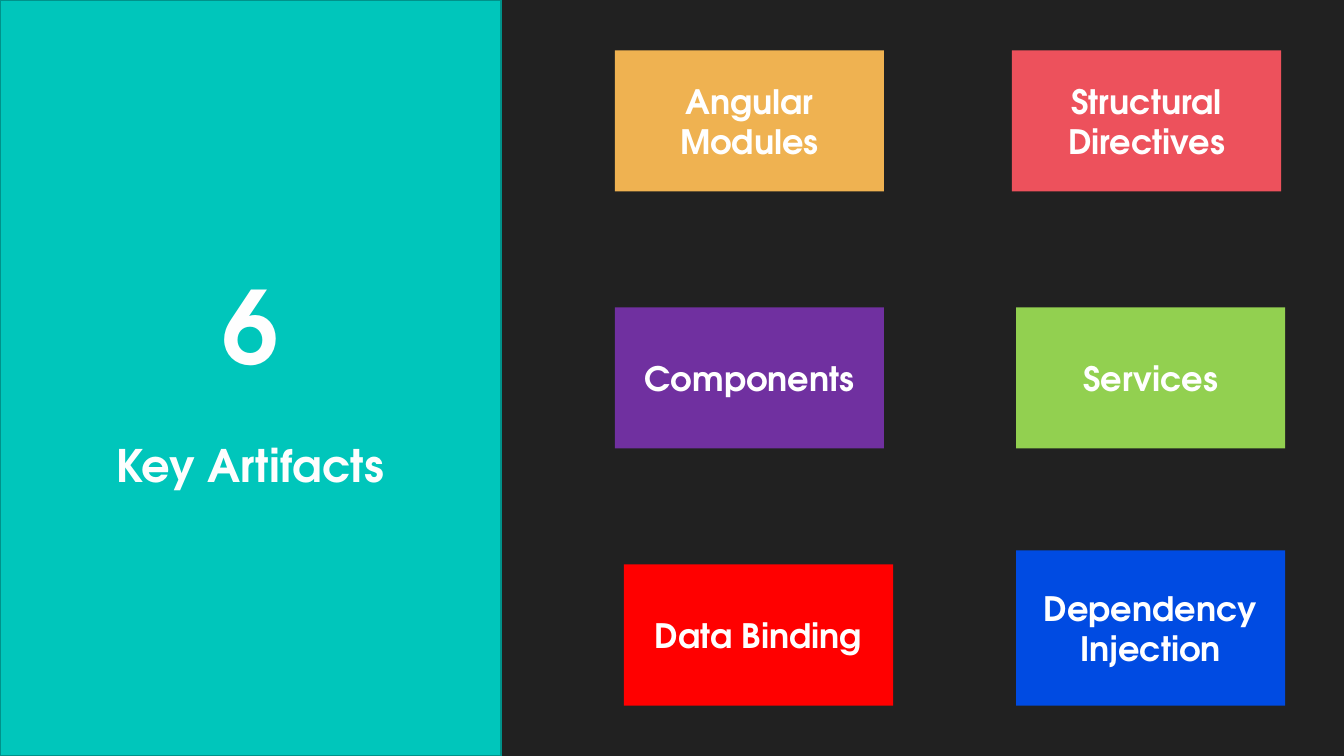
from dataclasses import dataclass

from pptx import Presentation
from pptx.dml.color import RGBColor
from pptx.enum import shapes, text
from pptx.util import Pt


@dataclass(frozen=True)
class Theme:
    """Colours, font and type sizes of the slide."""
    font: str = "TeX Gyre Adventor"
    ground: str = "212121"
    panel: str = "00C6BB"
    panel_edge: str = "00928A"
    panel_text: str = "FEFEFE"
    tile_text: str = "FFFFFF"
    amber: str = "EFB251"
    coral: str = "ED515C"
    purple: str = "7030A0"
    green: str = "92D050"
    red: str = "FF0000"
    blue: str = "004BE2"
    count_size: float = 72
    label_size: float = 32
    tile_size: float = 24


THEME = Theme()
PAGE_WIDTH, PAGE_HEIGHT = 960, 540


def add_block(page, box, fill, edge=None):
    """Add a filled rectangle in the given box and return it."""
    block = page.shapes.add_shape(shapes.MSO_SHAPE.RECTANGLE, *map(Pt, box))
    block.shadow.inherit = False
    block.fill.solid()
    block.fill.fore_color.rgb = RGBColor.from_string(fill)
    if edge:
        block.line.color.rgb = RGBColor.from_string(edge)
        block.line.width = Pt(1.25)
    else:
        block.line.fill.background()
    block.text_frame.word_wrap = True
    block.text_frame.vertical_anchor = text.MSO_ANCHOR.MIDDLE
    return block


def write_lines(block, lines, colour, gap=0):
    """Write (wording, size) lines as centred bold paragraphs."""
    frame = block.text_frame
    for index, (wording, size) in enumerate(lines):
        para = frame.add_paragraph() if index else frame.paragraphs[0]
        para.alignment = text.PP_ALIGN.CENTER
        if index and gap:
            para.space_before = Pt(gap)
        span = para.add_run()
        span.text = wording
        span.font.name = THEME.font
        span.font.size = Pt(size)
        span.font.bold = True
        span.font.color.rgb = RGBColor.from_string(colour)


def add_title_panel(page, box):
    """Add the side panel with the count and its label."""
    panel = add_block(page, box, THEME.panel, THEME.panel_edge)
    lines = [("6", THEME.count_size), ("Key Artifacts", THEME.label_size)]
    write_lines(panel, lines, THEME.panel_text, gap=38)


def add_artifact_tiles(page, box):
    """Add the tiles on a grid of two columns and three rows."""
    left, top, width, height = box
    tile_width, tile_height = 192.24, 100.8
    column_step = width - tile_width
    row_step = (height - tile_height) / 2
    tiles = [
        (0, 0, 0, 0, THEME.amber, ["Angular", "Modules"]),
        (1, 0, -2.88, 0, THEME.coral, ["Structural", "Directives"]),
        (0, 1, 0, 0, THEME.purple, ["Components"]),
        (1, 1, 0, 0, THEME.green, ["Services"]),
        (0, 2, 6.48, 0, THEME.red, ["Data Binding"]),
        (1, 2, 0, 10.08, THEME.blue, ["Dependency", "Injection"]),
    ]
    for column, row, shift, extra, fill, words in tiles:
        tile_box = (left + column * column_step + shift,
                    top + row * row_step - extra,
                    tile_width, tile_height + extra)
        tile = add_block(page, tile_box, fill)
        write_lines(tile, [(word, THEME.tile_size) for word in words],
                    THEME.tile_text)


def main():
    """Build the slide and save the deck."""
    deck = Presentation()
    deck.slide_width, deck.slide_height = Pt(PAGE_WIDTH), Pt(PAGE_HEIGHT)
    page = deck.slides.add_slide(deck.slide_layouts[6])
    page.background.fill.solid()
    page.background.fill.fore_color.rgb = RGBColor.from_string(THEME.ground)
    add_title_panel(page, (0, 0, 357.84, PAGE_HEIGHT))
    add_artifact_tiles(page, (439.2, 36, 478.8, 468))
    deck.save("out.pptx")


if __name__ == "__main__":
    main()
